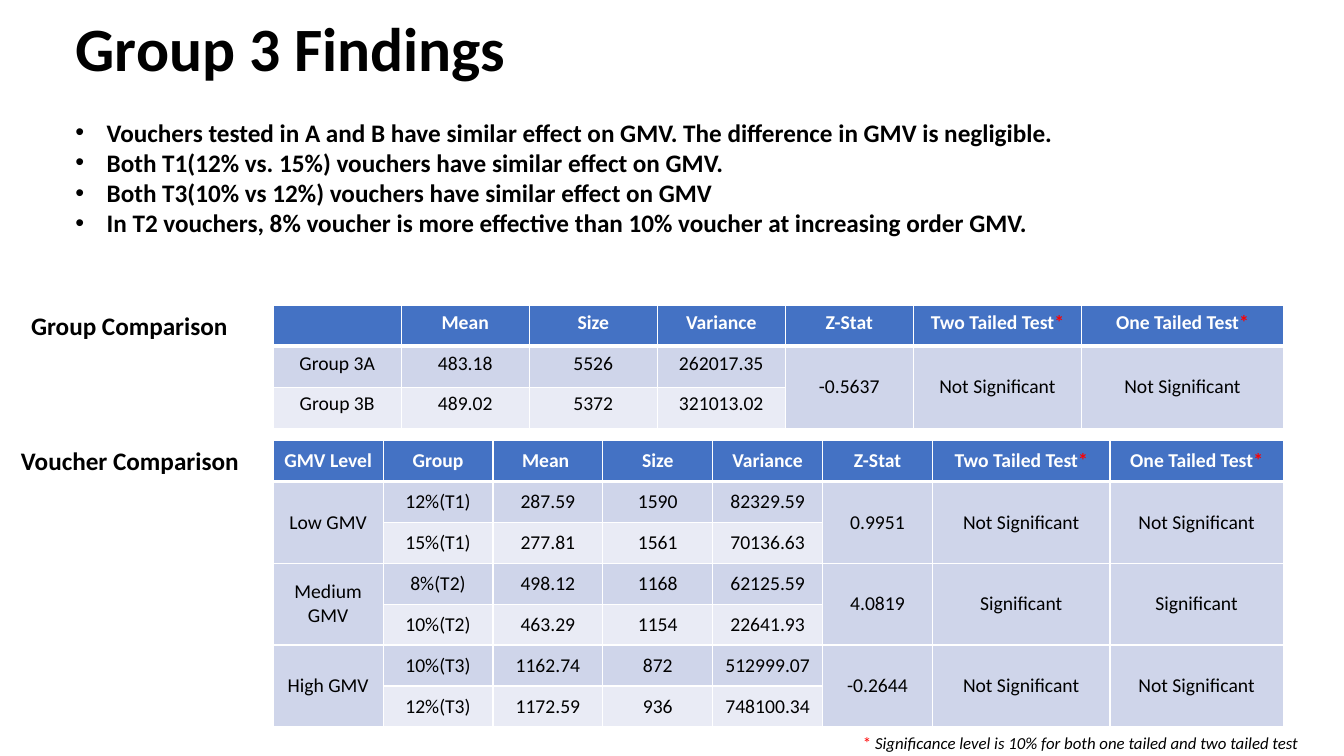
from lxml.etree import SubElement
from pptx import Presentation
from pptx.dml.color import RGBColor
from pptx.enum.text import MSO_ANCHOR as Anchor, MSO_AUTO_SIZE as AutoSize, PP_ALIGN as Align
from pptx.oxml.ns import qn
from pptx.util import Inches, Pt

FONT = "Calibri"
BLACK = RGBColor(0x00, 0x00, 0x00)
WHITE = RGBColor(0xFF, 0xFF, 0xFF)
RED = RGBColor(0xFF, 0x00, 0x00)
HEADER_BLUE = RGBColor(0x44, 0x72, 0xC4)
BAND_DARK = RGBColor(0xCF, 0xD5, 0xEA)
BAND_LIGHT = RGBColor(0xE9, 0xEB, 0xF5)

TITLE = "Group 3 Findings"
FINDINGS = [
    "Vouchers tested in A and B have similar effect on GMV. The difference in GMV is negligible.",
    "Both T1(12% vs. 15%) vouchers have similar effect on GMV. ",
    "Both T3(10% vs 12%) vouchers have similar effect on GMV",
    "In T2 vouchers, 8% voucher is more effective than 10% voucher at increasing order GMV.",
]
FOOTNOTE = "Significance level is 10% for both one tailed and two tailed test"
SAME = None  # the cell continues the one above it
NO = "Not Significant"
YES = "Significant"
TESTS = ["Z-Stat", "Two Tailed Test*", "One Tailed Test*"]

GROUP_ROWS = [
    ["", "Mean", "Size", "Variance", *TESTS],
    ["Group 3A", "483.18", "5526", "262017.35", "-0.5637", NO, NO],
    ["Group 3B", "489.02", "5372", "321013.02", SAME, SAME, SAME],
]
VOUCHER_ROWS = [
    ["GMV Level", "Group", "Mean ", "Size", "Variance", *TESTS],
    ["Low GMV", "12%(T1)", "287.59", "1590", "82329.59", "0.9951", NO, NO],
    [SAME, "15%(T1)", "277.81", "1561", "70136.63", SAME, SAME, SAME],
    ["Medium GMV", "8%(T2)", "498.12", "1168", "62125.59", "4.0819", YES, YES],
    [SAME, "10%(T2)", "463.29", "1154", "22641.93", SAME, SAME, SAME],
    ["High GMV", "10%(T3)", "1162.74", "872", "512999.07", "-0.2644", NO, NO],
    [SAME, "12%(T3)", "1172.59", "936", "748100.34", SAME, SAME, SAME],
]
# label, label left, label width, top, column widths, anchor of unmerged cells, rows
COMPARISONS = [
    ("Group Comparison", 0.21, 2.17, 3.03, [1.27] * 5 + [1.67, 2], Anchor.TOP, GROUP_ROWS),
    ("Voucher Comparison", 0.11, 2.38, 4.37, [1.09] * 6 + [1.76, 1.72], Anchor.MIDDLE,
     VOUCHER_ROWS),
]
TABLE_LEFT = 2.71
ROW_HEIGHT = 0.406
BULLET_INDENT = 0.31


def add_span(para, text, size, color=BLACK, bold=False, italic=False):
    """Add one formatted run to a paragraph."""
    span = para.add_run()
    span.text = text
    font = span.font
    font.name, font.size, font.bold, font.italic = FONT, Pt(size), bold, italic
    font.color.rgb = color


def add_box(page, left, top, width, height, wrap=False):
    """Add a text box and return its text frame."""
    box = page.shapes.add_textbox(Inches(left), Inches(top), Inches(width), Inches(height))
    frame = box.text_frame
    frame.word_wrap = wrap
    frame.auto_size = AutoSize.SHAPE_TO_FIT_TEXT
    return frame


def add_bullet(para):
    """Give a paragraph a hanging round bullet."""
    props = para._p.get_or_add_pPr()
    props.set("marL", str(Inches(BULLET_INDENT)))
    props.set("indent", str(-Inches(BULLET_INDENT)))
    SubElement(props, qn("a:buFont"), typeface="Arial")
    SubElement(props, qn("a:buChar"), char="•")


def add_borders(cell, bottom, top):
    """Draw white borders around a cell."""
    props = cell._tc.get_or_add_tcPr()
    for side, width in (("L", 1), ("R", 1), ("T", top), ("B", bottom)):
        line = SubElement(props, qn(f"a:ln{side}"), w=str(Pt(width)))
        fill = SubElement(line, qn("a:solidFill"))
        SubElement(fill, qn("a:srgbClr"), val=str(WHITE))


def fill_cell(cell, text, row_index, anchor):
    """Format one table cell and write its text, with any asterisk in red."""
    header = row_index == 0
    add_borders(cell, bottom=3 if header else 1, top=3 if row_index == 1 else 1)
    cell.fill.solid()
    band = BAND_DARK if row_index % 2 else BAND_LIGHT
    cell.fill.fore_color.rgb = HEADER_BLUE if header else band
    cell.vertical_anchor = anchor
    para = cell.text_frame.paragraphs[0]
    para.alignment = Align.CENTER
    if text:
        add_span(para, text.rstrip("*"), 14, WHITE if header else BLACK, bold=header)
        if text.endswith("*"):
            add_span(para, "*", 14, RED, bold=True)


def add_comparison(page, top, widths, anchor, rows):
    """Add a table, merging every SAME cell with the one above."""
    frame = page.shapes.add_table(
        len(rows), len(widths), Inches(TABLE_LEFT), Inches(top),
        Inches(sum(widths)), Inches(ROW_HEIGHT * len(rows)))
    table = frame.table
    for column, width in zip(table.columns, widths):
        column.width = Inches(width)
    for r, row in enumerate(rows):
        table.rows[r].height = Inches(ROW_HEIGHT)
        for c, text in enumerate(row):
            merged = r + 1 < len(rows) and rows[r + 1][c] is SAME
            fill_cell(table.cell(r, c), text, r, Anchor.MIDDLE if merged else anchor)
            if text is SAME:
                table.cell(r - 1, c).merge(table.cell(r, c))


deck = Presentation()
deck.slide_width, deck.slide_height = Inches(13.33), Inches(7.5)
page = deck.slides.add_slide(deck.slide_layouts[5])

title = page.shapes.title
title.left, title.top, title.width, title.height = map(Inches, (0.65, 0, 11.27, 1.03))
title.text_frame.vertical_anchor = Anchor.MIDDLE
title_para = title.text_frame.paragraphs[0]
title_para.alignment = Align.LEFT
title_para.line_spacing = 0.9
add_span(title_para, TITLE, 44, bold=True)

findings = add_box(page, 0.65, 1.11, 10.6, 1.31, wrap=True)
for i, finding in enumerate(FINDINGS):
    para = findings.add_paragraph() if i else findings.paragraphs[0]
    add_bullet(para)
    add_span(para, finding, 18, bold=True)

for label, left, width, top, widths, anchor, rows in COMPARISONS:
    add_span(add_box(page, left, top, width, 0.4).paragraphs[0], label, 18, bold=True)
    add_comparison(page, top, widths, anchor, rows)

footnote = add_box(page, 8.46, 7.22, 4.59, 0.3).paragraphs[0]
add_span(footnote, "* ", 12, RED)
add_span(footnote, FOOTNOTE, 12, italic=True)

deck.save("out.pptx")
